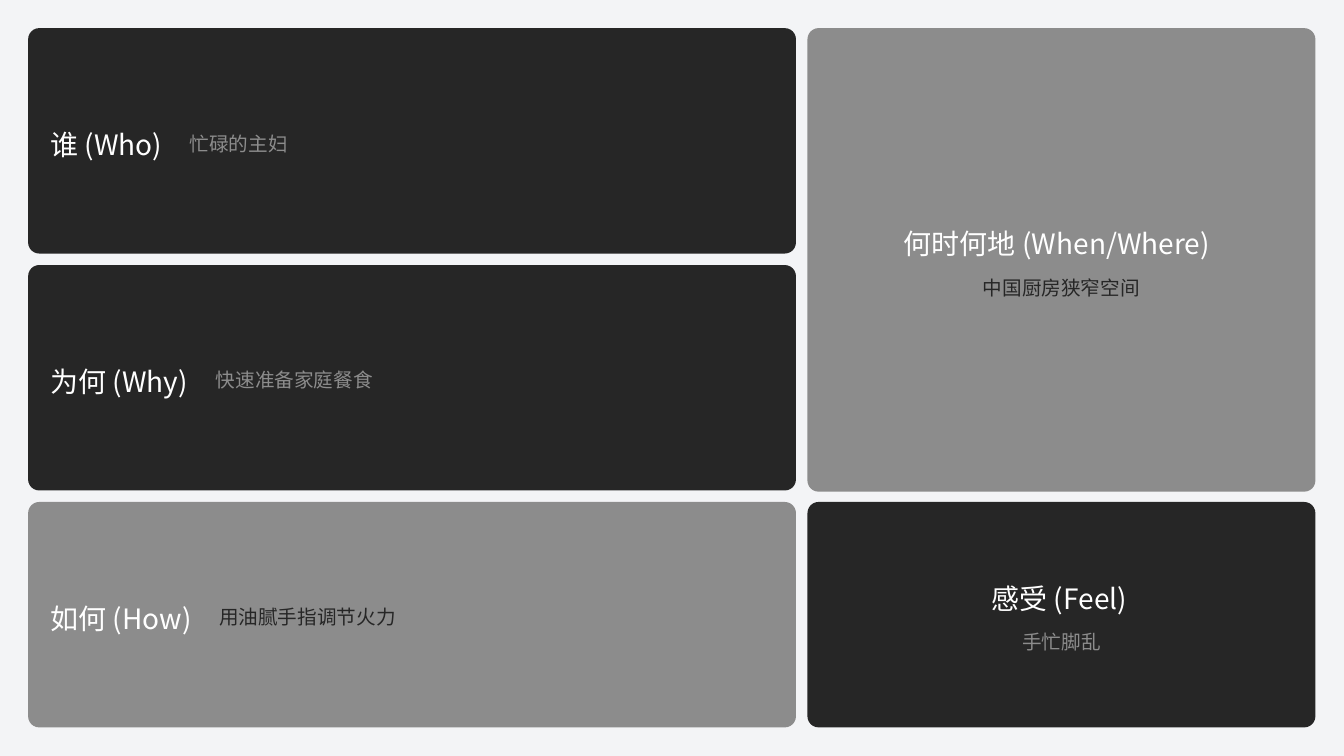
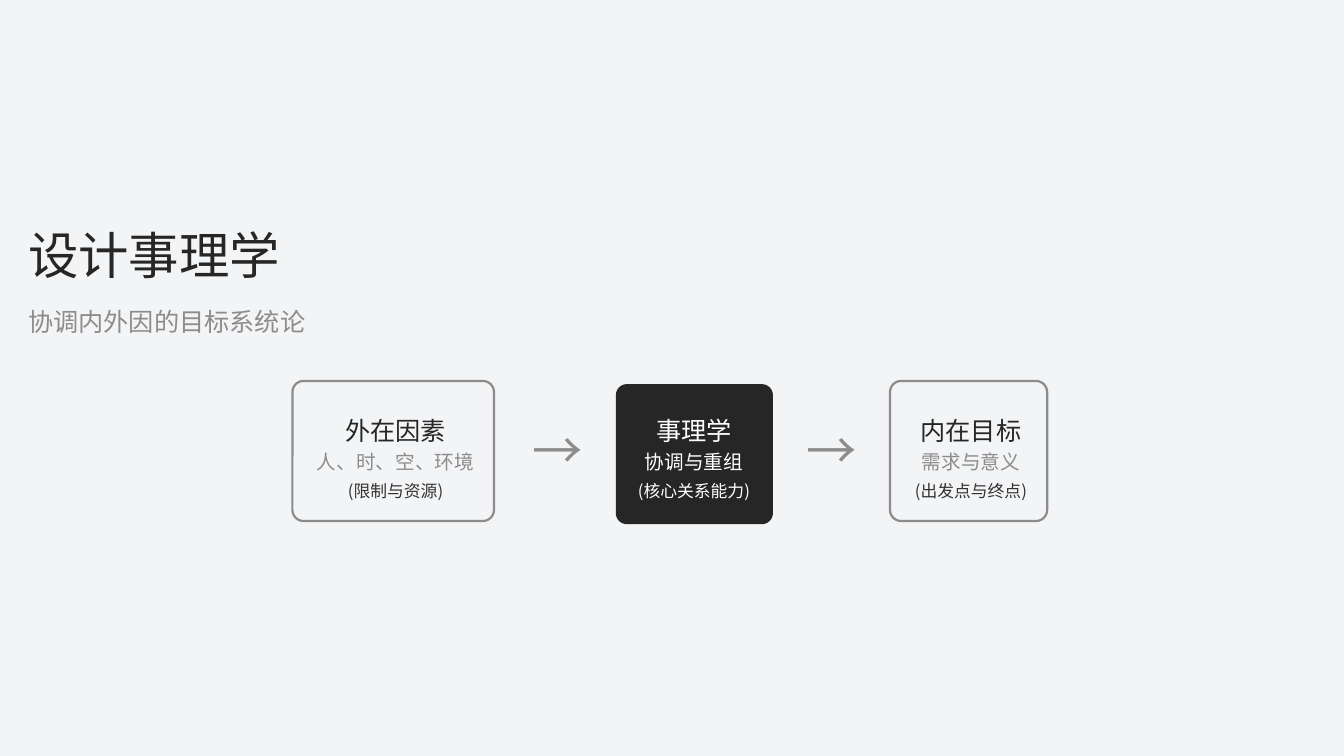
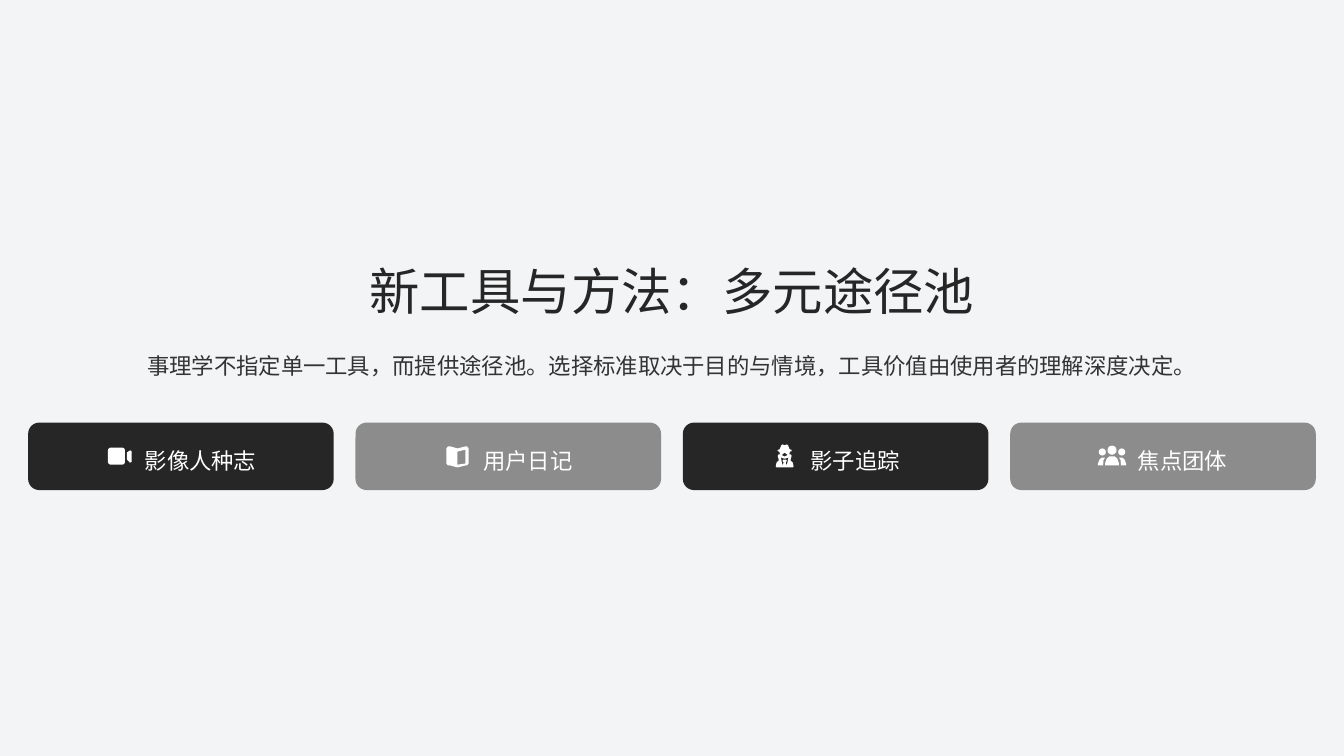
"""Build three slides on design as a science of human affairs."""
from dataclasses import dataclass
from typing import NamedTuple

from lxml import etree
from pptx import Presentation
from pptx import util as u
from pptx.dml import color as c
from pptx.enum import shapes as sh
from pptx.enum import text as tx
from pptx.oxml import ns

LEFT, CENTER = tx.PP_ALIGN.LEFT, tx.PP_ALIGN.CENTER
ROUNDED, OVAL = sh.MSO_SHAPE.ROUNDED_RECTANGLE, sh.MSO_SHAPE.OVAL


class Type(NamedTuple):
    size: int
    spacing: float
    height: float


class Box(NamedTuple):
    x: float
    y: float
    w: float
    h: float

    @property
    def middle(self) -> float:
        return self.y + self.h / 2


@dataclass(frozen=True)
class Theme:
    font: str = "Noto Sans CJK SC"
    paper: str = "F3F4F6"
    dark: str = "262626"
    grey: str = "8C8C8C"
    body: str = "333333"
    white: str = "FFFFFF"
    display: Type = Type(36, 0.9, 1.42)
    panel: Type = Type(20, 1.2, 0.99)
    heading: Type = Type(18, 1.3, 0.99)
    text: Type = Type(16, 1.3, 0.84)
    note: Type = Type(14, 1.2, 0.71)
    small: Type = Type(12, 1.1, 0.56)
    width: float = 33.87
    height: float = 19.05
    margin: float = 0.71
    radius: float = 0.28
    outline: float = 1.6

    @property
    def inner(self) -> float:
        return self.width - 2 * self.margin


T = Theme()


class Panel(NamedTuple):
    box: Box
    fill: str
    title: str
    title_x: float
    title_w: float
    note: str
    note_w: float
    stacked: bool = False


class Step(NamedTuple):
    box: Box
    text_x: float
    text_w: float
    filled: bool
    lines: tuple


class Icon(NamedTuple):
    offset: float
    outlines: tuple
    presets: tuple = ()


class Tool(NamedTuple):
    label: str
    icon: Icon


def mirror(points: tuple, width: int) -> tuple:
    return tuple((width - x, y) for x, y in reversed(points))


def new_slide(prs):
    s = prs.slides.add_slide(prs.slide_layouts[6])
    s.background.fill.solid()
    s.background.fill.fore_color.rgb = c.RGBColor.from_string(T.paper)
    return s


def paint(sp, fill: str) -> None:
    sp.shadow.inherit = False
    sp.fill.solid()
    sp.fill.fore_color.rgb = c.RGBColor.from_string(fill)
    sp.line.fill.background()


def add_preset(s, kind, box: Box, fill: str):
    sp = s.shapes.add_shape(kind, *(u.Cm(v) for v in box))
    paint(sp, fill)
    return sp


def add_card(s, box: Box, fill: str, outlined: bool = False) -> None:
    sp = add_preset(s, ROUNDED, box, fill)
    sp.adjustments[0] = T.radius / min(box.w, box.h)
    if outlined:
        sp.fill.background()
        sp.line.color.rgb = c.RGBColor.from_string(fill)
        sp.line.width = u.Pt(T.outline)


def add_text(s, box: Box, text: str, kind: Type, color: str, align=LEFT, inset: float = 0) -> None:
    tf = s.shapes.add_textbox(*(u.Cm(v) for v in box)).text_frame
    tf.word_wrap = True
    tf.vertical_anchor = tx.MSO_ANCHOR.MIDDLE
    tf.margin_left = tf.margin_right = tf.margin_top = tf.margin_bottom = u.Cm(inset)
    p = tf.paragraphs[0]
    p.text = text
    p.alignment = align
    p.line_spacing = kind.spacing
    p.font.name = T.font
    p.font.size = u.Pt(kind.size)
    p.font.color.rgb = c.RGBColor.from_string(color)
    props = p._p.pPr.find(ns.qn("a:defRPr"))
    etree.SubElement(props, ns.qn("a:ea")).set("typeface", T.font)


def add_icon(s, icon: Icon, x: float, y: float) -> None:
    for kind, px, py, w, h in icon.presets:
        add_preset(s, kind, Box(x + px / 100, y + py / 100, w / 100, h / 100), T.white)
    first, *rest = icon.outlines
    outline = s.shapes.build_freeform(*first[0], scale=u.Cm(0.01))
    outline.add_line_segments(first[1:], close=True)
    for points in rest:
        outline.move_to(*points[0])
        outline.add_line_segments(points[1:], close=True)
    paint(outline.convert_to_shape(u.Cm(x), u.Cm(y)), T.white)


def add_panel(s, panel: Panel) -> None:
    box = panel.box
    add_card(s, box, panel.fill)
    rise, drop = (0.5, 0.63) if panel.stacked else (0, 0)
    title_y = box.middle - rise - T.panel.height / 2
    note_y = box.middle + drop - T.note.height / 2
    if panel.stacked:
        note_x, align = box.x + (box.w - panel.note_w) / 2, CENTER
    else:
        note_x, align = panel.title_x + panel.title_w - 0.83, LEFT
    add_text(s, Box(panel.title_x, title_y, panel.title_w, T.panel.height),
             panel.title, T.panel, T.white)
    add_text(s, Box(note_x, note_y, panel.note_w, T.note.height), panel.note, T.note,
             T.grey if panel.fill == T.dark else T.dark, align)


def add_step(s, step: Step) -> None:
    add_card(s, step.box, T.dark if step.filled else T.grey, not step.filled)
    rows = ((10.24, T.heading, T.dark), (11.23, T.note, T.grey), (12.07, T.small, T.body))
    for line, (y, kind, color) in zip(step.lines, rows):
        add_text(s, Box(step.text_x, y, step.text_w, kind.height), line, kind,
                 T.white if step.filled else color, CENTER)


def build_scenario(prs) -> None:
    s = new_slide(prs)
    left_w, right_x, right_w, row_h, pitch = 19.35, 20.35, 12.8, 5.68, 5.97
    rows = [T.margin + i * pitch for i in range(3)]
    left = [Box(T.margin, y, left_w, row_h) for y in rows]
    panels = (
        Panel(left[0], T.dark, "谁 (Who)", 1.27, 4.34, "忙碌的主妇", 3.89),
        Panel(Box(right_x, rows[0], right_w, 11.68), T.grey,
              "何时何地 (When/Where)", 22.78, 9.37, "中国厨房狭窄空间", 5.36, True),
        Panel(left[1], T.dark, "为何 (Why)", 1.27, 5.0, "快速准备家庭餐食", 5.36),
        Panel(left[2], T.grey, "如何 (How)", 1.27, 5.08, "用油腻手指调节火力", 5.87),
        Panel(Box(right_x, rows[2], right_w, row_h), T.dark,
              "感受 (Feel)", 24.99, 4.93, "手忙脚乱", 3.38, True),
    )
    for panel in panels:
        add_panel(s, panel)


def build_theory(prs) -> None:
    s = new_slide(prs)
    add_text(s, Box(T.margin, 5.79, T.inner, T.display.height), "设计事理学", T.display, T.dark)
    add_text(s, Box(T.margin, 7.49, T.inner, T.heading.height),
             "协调内外因的目标系统论", T.heading, T.grey)
    steps = (
        Step(Box(7.37, 9.6, 5.08, 3.53), 7.29, 5.36, False,
             ("外在因素", "人、时、空、环境", "(限制与资源)")),
        Step(Box(15.52, 9.68, 3.96, 3.53), 15.37, 4.24, True,
             ("事理学", "协调与重组", "(核心关系能力)")),
        Step(Box(22.43, 9.6, 3.96, 3.53), 22.35, 4.24, False,
             ("内在目标", "需求与意义", "(出发点与终点)")),
    )
    for step in steps:
        add_step(s, step)
    for x in (13.41, 20.32):
        add_text(s, Box(x, 10.72, 2.69, T.display.height), "→", T.display, T.grey)


def tool_list() -> tuple:
    video = Icon(1.98, (((51, 20), (59, 15), (63, 17), (63, 44), (59, 46), (51, 38)),),
                 ((ROUNDED, 3, 8, 43, 43),))
    book = Icon(2.29, (
        ((0, 10), (4, 5), (10, 5), (28, 10), (48, 5), (52, 5), (56, 10),
         (56, 48), (52, 53), (48, 53), (28, 58), (10, 53), (4, 53), (0, 48)),
        ((28, 18), (48, 13), (48, 48), (28, 51))))
    coat = ((5, 58), (3, 55), (5, 46), (11, 40), (8, 29), (10, 25), (14, 25),
            (12, 18), (8, 17), (8, 14), (13, 12), (17, 2), (20, 0), (25, 2))
    lapel = ((25, 36), (16, 33), (20, 53), (23, 46), (20, 41), (22, 38))
    face = ((25, 21), (20, 25), (18, 23), (20, 28), (25, 30))
    agent = Icon(2.31, tuple(half + mirror(half, 51) for half in (coat, lapel, face)))
    side = ((0, 53), (0, 48), (4, 38), (10, 33), (18, 33), (14, 39), (13, 53))
    chest = ((18, 53), (18, 48), (22, 36), (29, 30))
    group = Icon(2.21, (side, chest + mirror(chest, 71), mirror(side, 71)),
                 ((OVAL, 24, 3, 23, 23), (OVAL, 2, 10, 18, 18), (OVAL, 51, 10, 18, 18)))
    return (Tool("影像人种志", video), Tool("用户日记", book),
            Tool("影子追踪", agent), Tool("焦点团体", group))


def build_tools(prs) -> None:
    s = new_slide(prs)
    add_text(s, Box(0, 6.71, T.width, T.display.height),
             "新工具与方法：多元途径池", T.display, T.dark, CENTER)
    add_text(s, Box(2.97, 8.69, 27.94, T.text.height),
             "事理学不指定单一工具，而提供途径池。选择标准取决于目的与情境，工具价值由使用者的理解深度决定。",
             T.text, T.body, CENTER)
    tools = tool_list()
    y, w, h, label_shift = 10.65, 7.7, 1.7, 0.99
    pitch = (T.inner - w) / (len(tools) - 1)
    for i, tool in enumerate(tools):
        x = T.margin + i * pitch
        add_card(s, Box(x, y, w, h), T.grey if i % 2 else T.dark)
        add_icon(s, tool.icon, x + tool.icon.offset, y + 0.55)
        add_text(s, Box(x + label_shift, y, w - label_shift, h),
                 tool.label, T.text, T.white, CENTER, 0.43)


def main() -> None:
    prs = Presentation()
    prs.slide_width, prs.slide_height = u.Cm(T.width), u.Cm(T.height)
    build_scenario(prs)
    build_theory(prs)
    build_tools(prs)
    prs.save("out.pptx")


if __name__ == "__main__":
    main()
